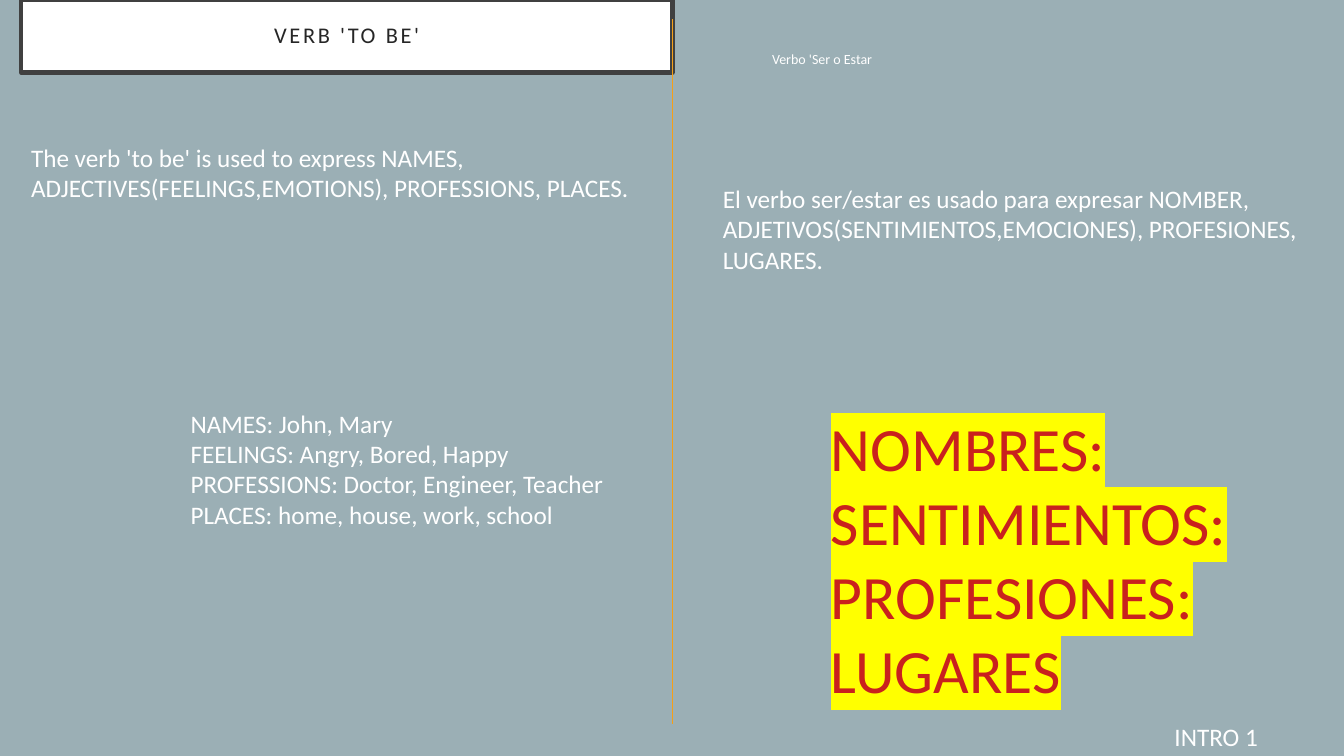
import dataclasses

import lxml.etree
import pptx
import pptx.dml.color
import pptx.enum.shapes
import pptx.enum.text
import pptx.oxml.ns
import pptx.util

Inches = pptx.util.Inches
Pt = pptx.util.Pt
Anchor = pptx.enum.text.MSO_ANCHOR
AutoSize = pptx.enum.text.MSO_AUTO_SIZE
Align = pptx.enum.text.PP_ALIGN
qn = pptx.oxml.ns.qn


@dataclasses.dataclass(frozen=True)
class Theme:
    """Colours, font and type sizes of the lesson."""
    font: str = "Calibri"
    background: str = "9BAFB5"
    light: str = "FFFFFF"
    ink: str = "262626"
    frame: str = "404040"
    divider: str = "F59F17"
    accent: str = "C9211E"
    marker: str = "FFFF00"
    caption_size: int = 10
    title_size: int = 16
    body_size: int = 18
    prompt_size: int = 44


THEME = Theme()


def rgb(color):
    """Turn a hex string into a colour value."""
    return pptx.dml.color.RGBColor.from_string(color)


def place(shape, box):
    """Move a shape to the given left, top, width and height."""
    shape.left, shape.top, shape.width, shape.height = map(Inches, box)


def set_frame(shape, anchor, auto_size, insets=(0.1, 0.05)):
    """Set wrapping, anchor, fit and insets, and return the text frame."""
    frame = shape.text_frame
    frame.word_wrap = True
    frame.auto_size = auto_size
    frame.vertical_anchor = anchor
    frame.margin_left = frame.margin_right = Inches(insets[0])
    frame.margin_top = frame.margin_bottom = Inches(insets[1])
    return frame


def add_span(para, text, size, color):
    """Add one formatted run to a paragraph."""
    span = para.add_run()
    span.text = text
    span.font.name = THEME.font
    span.font.size = Pt(size)
    span.font.color.rgb = rgb(color)
    return span


def highlight(span, color):
    """Mark a run with a background colour."""
    mark = lxml.etree.Element(qn("a:highlight"))
    lxml.etree.SubElement(mark, qn("a:srgbClr"), val=color)
    span.font._element.find(qn("a:solidFill")).addnext(mark)


def add_text(page, box, text, size=THEME.body_size, anchor=Anchor.TOP,
             auto_size=AutoSize.SHAPE_TO_FIT_TEXT):
    """Add a text box with one light paragraph."""
    shape = page.shapes.add_textbox(*map(Inches, box))
    frame = set_frame(shape, anchor, auto_size)
    add_span(frame.paragraphs[0], text, size, THEME.light)


def fill_title(shape, box, text):
    """Format the title placeholder as a framed banner."""
    place(shape, box)
    shape.fill.solid()
    shape.fill.fore_color.rgb = rgb(THEME.light)
    shape.line.color.rgb = rgb(THEME.frame)
    shape.line.width = Pt(3)
    frame = set_frame(shape, Anchor.MIDDLE, AutoSize.NONE, (0.3, 0.2))
    para = frame.paragraphs[0]
    para.alignment = Align.CENTER
    para.line_spacing = 0.9
    span = add_span(para, text, THEME.title_size, THEME.ink)
    span.font._element.set("spc", "190")


def fill_list(shape, box, lines, size, color, marker=None):
    """Fill a body placeholder with plain lines, highlighted if asked."""
    place(shape, box)
    frame = set_frame(shape, Anchor.TOP, AutoSize.SHAPE_TO_FIT_TEXT)
    for index, line in enumerate(lines):
        para = frame.add_paragraph() if index else frame.paragraphs[0]
        para.space_before = Pt(0)
        properties = para._p.get_or_add_pPr()
        properties.set("marL", "0")
        properties.set("indent", "0")
        lxml.etree.SubElement(properties, qn("a:buNone"))
        span = add_span(para, line, size, color)
        if marker:
            highlight(span, marker)


def add_divider(page, x, top, bottom):
    """Draw the vertical line between the two languages."""
    line = page.shapes.add_connector(
        pptx.enum.shapes.MSO_CONNECTOR.STRAIGHT,
        Inches(x), Inches(top), Inches(x), Inches(bottom))
    line.line.color.rgb = rgb(THEME.divider)
    line.line.width = Pt(0.75)
    lxml.etree.SubElement(line._element.spPr, qn("a:effectLst"))


def build_english(page, left, width):
    """Build the English half."""
    fill_title(page.shapes.title, (left, 0, width, 0.72), "VERB 'TO BE'")
    add_text(page, (left, 1.36, width, 0.4),
             "The verb 'to be' is used to express NAMES, "
             "ADJECTIVES(FEELINGS,EMOTIONS), PROFESSIONS, PLACES.")
    fill_list(page.placeholders[1], (left + 1.58, 4, 4.33, 0.4),
              ["NAMES: John, Mary", "FEELINGS: Angry, Bored, Happy",
               "PROFESSIONS: Doctor, Engineer, Teacher",
               "PLACES: home, house, work, school"],
              THEME.body_size, THEME.light)


def build_spanish(page, left, width):
    """Build the Spanish half."""
    add_text(page, (left + 0.49, 0, 3.86, 0.72), "Verbo 'Ser o Estar",
             THEME.caption_size, Anchor.BOTTOM, AutoSize.NONE)
    add_text(page, (left, 1.77, width, 0.4),
             "El verbo ser/estar es usado para expresar NOMBER, "
             "ADJETIVOS(SENTIMIENTOS,EMOCIONES), PROFESIONES, LUGARES.")
    fill_list(page.placeholders[2], (left + 1.07, 4.02, 5.12, 0.83),
              ["NOMBRES:", "SENTIMIENTOS:", "PROFESIONES:", "LUGARES"],
              THEME.prompt_size, THEME.accent, THEME.marker)
    add_text(page, (left + 4.48, 7.11, 2.69, 0.4), "INTRO 1")


def main():
    """Build and save the deck."""
    deck = pptx.Presentation()
    deck.slide_width, deck.slide_height = Inches(13.33), Inches(7.5)
    page = deck.slides.add_slide(deck.slide_layouts.get_by_name("Two Content"))
    page.background.fill.solid()
    page.background.fill.fore_color.rgb = rgb(THEME.background)
    build_english(page, 0.21, 6.46)
    add_divider(page, 6.67, 0.19, 7.18)
    build_spanish(page, 7.07, 6.11)
    deck.save("out.pptx")


if __name__ == "__main__":
    main()
